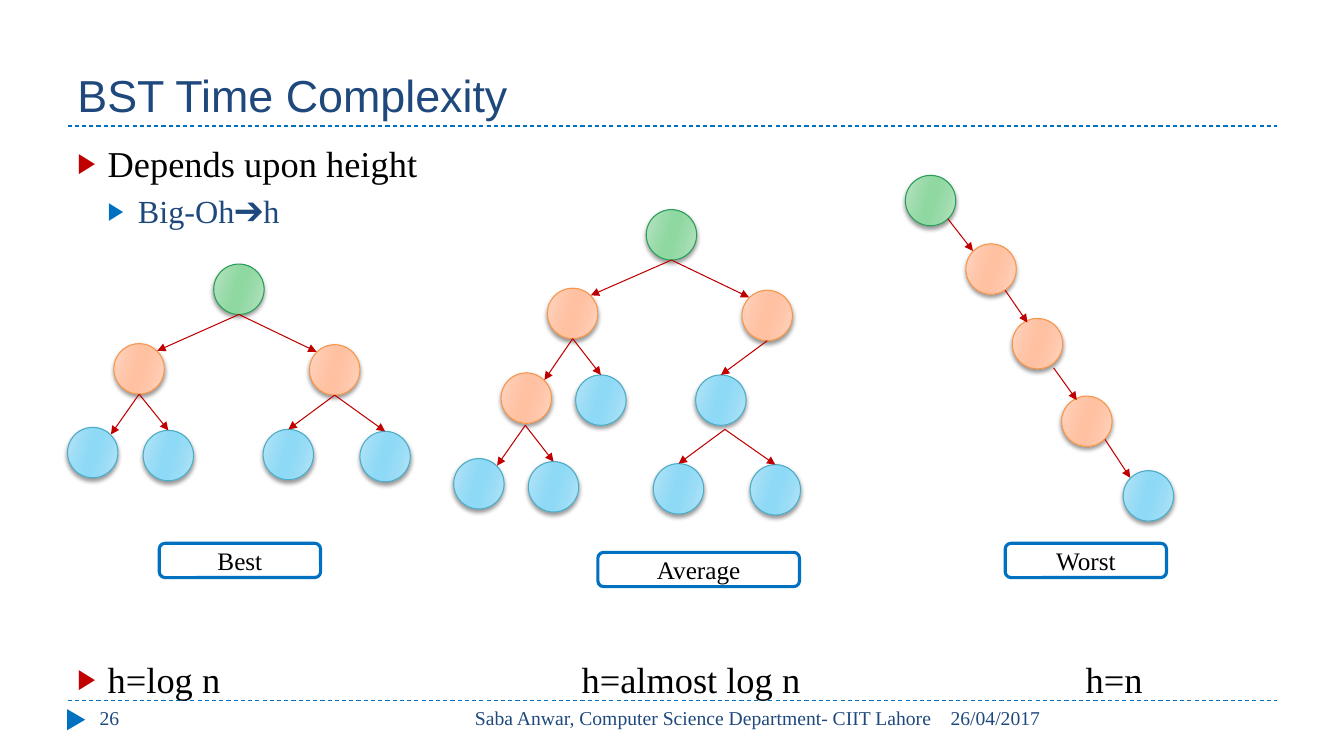
from dataclasses import dataclass

from pptx import Presentation
from pptx.dml.color import RGBColor
from pptx.enum.dml import MSO_LINE
from pptx.enum.shapes import MSO_CONNECTOR, MSO_SHAPE
from pptx.enum.text import MSO_ANCHOR as ANCHOR, PP_ALIGN as ALIGN
from pptx.oxml import parse_xml
from pptx.oxml.ns import nsdecls, qn
from pptx.util import Inches, Pt


@dataclass(frozen=True)
class Theme:
    heading: str = "Arial"
    serif: str = "Times New Roman"
    navy: str = "1F497D"
    blue: str = "0070C0"
    red: str = "C00000"
    black: str = "000000"
    white: str = "FFFFFF"
    # Node colours: outline, then gradient from rim to core
    root: tuple = ("279D57", "BBE4C5", "9BDBAB", "8FD8A1")
    inner: tuple = ("F79646", "FFD7C5", "FFC6AA", "FFC1A1")
    leaf: tuple = ("4BACC6", "B9E5F7", "99DCF6", "8DD9F6")
    title_pt: int = 32
    body_pt: int = 26
    sub_pt: int = 23
    label_pt: int = 18
    footer_pt: int = 14


T = Theme()

prs = Presentation()
prs.slide_width, prs.slide_height = Inches(13.33), Inches(7.5)
s = prs.slides.add_slide(prs.slide_layouts[6])


def write(tf, text, p=None, size=T.body_pt, color=T.black, font=T.serif,
          align=ALIGN.LEFT, anchor=ANCHOR.TOP, bullet=None, level=0):
    """Fill one paragraph; bullet is the colour of its triangle mark."""
    tf.word_wrap = True
    tf.vertical_anchor = anchor
    p = p or tf.paragraphs[0]
    p.alignment = align
    if bullet:
        p.level = level
        pPr = p._p.get_or_add_pPr()
        pPr.set("marL", str(Inches(0.3 * (level + 1))))
        pPr.set("indent", str(Inches(-0.3)))
        for xml in (f'<a:buClr {nsdecls("a")}><a:srgbClr val="{bullet}"/></a:buClr>',
                    f'<a:buSzPct {nsdecls("a")} val="76000"/>',
                    f'<a:buFont {nsdecls("a")} typeface="{T.serif}"/>',
                    f'<a:buChar {nsdecls("a")} char="▶"/>'):
            pPr.append(parse_xml(xml))
    r = p.add_run()
    r.text = text
    for name, value in {"name": font, "size": Pt(size)}.items():
        setattr(r.font, name, value)
    r.font.color.rgb = RGBColor.from_string(color)


def draw_line(start, end, color):
    c = s.shapes.add_connector(MSO_CONNECTOR.STRAIGHT, *map(Inches, start + end))
    c.line.color.rgb = RGBColor.from_string(color)
    c.line.width = Pt(0.75)
    c._element.spPr.append(parse_xml(f'<a:effectLst {nsdecls("a")}/>'))
    return c


# Frame: dashed rules and page marker
for y in (6.95, 1.25):
    draw_line((0.67, y), (12.67, y), T.blue).line.dash_style = MSO_LINE.DASH

marker = s.shapes.add_shape(MSO_SHAPE.ISOSCELES_TRIANGLE,
                            *map(Inches, (0.65, 7.05, 0.21, 0.18)))
marker.rotation = 90
marker.shadow.inherit = False
marker.fill.solid()
marker.fill.fore_color.rgb = RGBColor.from_string(T.blue)
marker.line.fill.background()

# Title, footer and body text
footer = {"size": T.footer_pt, "color": T.navy}
point = {"bullet": T.red}
texts = [
    ((0.67, 0.17, 12, 1.08), "BST Time Complexity",
     {"size": T.title_pt, "color": T.navy, "font": T.heading, "anchor": ANCHOR.BOTTOM}),
    ((9.33, 6.95, 3.34, 0.4), "26/04/2017", footer),
    ((4.23, 6.95, 5.11, 0.4), "Saba Anwar, Computer Science Department- CIIT Lahore",
     {**footer, "align": ALIGN.RIGHT}),
    ((0.89, 6.95, 2.89, 0.4), "26", footer),
    ((0.67, 6.47, 4, 0.46), "h=log n", point),
    ((5.67, 6.47, 4, 0.46), "h=almost log n", {}),
    ((10.67, 6.47, 2, 0.46), "h=n", {}),
    ((0.67, 1.35, 6, 1.1), "Depends upon height", point),
]
for box, text, style in texts:
    tf = s.shapes.add_textbox(*map(Inches, box)).text_frame
    write(tf, text, **style)

# The last box holds the body, which has a second level
p = tf.add_paragraph()
p.space_before = Pt(5)
write(tf, "Big-Oh➔h", p, size=T.sub_pt, color=T.navy, bullet=T.blue, level=1)

# Trees: node colours, position, start of the incoming arrow, where it lands
NODE = 0.5
LANDING = {"top": (0.25, 0), "left": (0.07, 0.07), "right": (0.43, 0.07),
           "upper": (0.15, 0.04)}
best = [
    (T.root, 2.12, 2.62, None, None),
    (T.inner, 1.13, 3.41, (2.37, 3.12), "right"),
    (T.inner, 3.07, 3.42, (2.37, 3.12), "left"),
    (T.leaf, 0.67, 4.24, (1.38, 3.91), "right"),
    (T.leaf, 1.42, 4.27, (1.38, 3.91), "top"),
    (T.leaf, 2.61, 4.26, (3.32, 3.92), "top"),
    (T.leaf, 3.57, 4.28, (3.32, 3.92), "top"),
]
average = [
    (T.root, 6.41, 2.08, None, None),
    (T.inner, 5.43, 2.86, (6.66, 2.58), "right"),
    (T.inner, 7.36, 2.88, (6.66, 2.58), "left"),
    (T.inner, 4.97, 3.7, (5.68, 3.36), "right"),
    (T.leaf, 5.71, 3.72, (5.68, 3.36), "top"),
    (T.leaf, 6.9, 3.72, (7.61, 3.38), "top"),
    (T.leaf, 4.5, 4.55, (5.21, 4.22), "right"),
    (T.leaf, 5.24, 4.58, (5.21, 4.22), "top"),
    (T.leaf, 6.48, 4.6, (7.19, 4.26), "top"),
    (T.leaf, 7.44, 4.61, (7.19, 4.26), "top"),
]
worst = [
    (T.root, 8.98, 1.74, None, None),
    (T.inner, 9.58, 2.42, (9.4, 2.17), "left"),
    (T.inner, 10.04, 3.16, (9.97, 2.88), "upper"),
    (T.inner, 10.53, 3.93, (10.45, 3.65), "upper"),
    (T.leaf, 11.14, 4.67, (10.96, 4.36), "left"),
]
for (outline, rim, mid, core), x, y, start, landing in best + average + worst:
    sp = s.shapes.add_shape(MSO_SHAPE.OVAL, *map(Inches, (x, y, NODE, NODE)))
    stops = zip((0, 30, 45, 55, 73, 100), (rim, mid, core, core, mid, rim))
    gradient = "".join(f'<a:gs pos="{pos * 1000}"><a:srgbClr val="{color}"/></a:gs>'
                       for pos, color in stops)
    spPr = sp._element.spPr
    spPr.find(qn("a:prstGeom")).addnext(parse_xml(
        f'<a:gradFill {nsdecls("a")} rotWithShape="1"><a:gsLst>{gradient}</a:gsLst>'
        f'<a:lin ang="{16 * 60000}" scaled="0"/></a:gradFill>'))
    sp.line.color.rgb = RGBColor.from_string(outline)
    sp.line.width = Pt(0.75)
    sp.shadow.inherit = False
    spPr.find(qn("a:effectLst")).append(parse_xml(
        f'<a:outerShdw {nsdecls("a")} blurRad="{Pt(3)}" dist="{Pt(2)}" dir="5400000" '
        f'rotWithShape="0"><a:srgbClr val="{T.black}"><a:alpha val="40000"/>'
        '</a:srgbClr></a:outerShdw>'))
    if start:
        dx, dy = LANDING[landing]
        arrow = draw_line(start, (x + dx, y + dy), T.red)
        arrow.line._get_or_add_ln().append(
            parse_xml(f'<a:tailEnd {nsdecls("a")} type="triangle"/>'))

# Case labels
for label, x, y, width in (("Average", 5.93, 5.48, 2), ("Best", 1.58, 5.39, 1.6),
                           ("Worst", 9.97, 5.39, 1.6)):
    sp = s.shapes.add_shape(MSO_SHAPE.ROUNDED_RECTANGLE,
                            *map(Inches, (x, y, width, 0.34)))
    sp.shadow.inherit = False
    sp.fill.solid()
    sp.fill.fore_color.rgb = RGBColor.from_string(T.white)
    sp.line.color.rgb = RGBColor.from_string(T.blue)
    sp.line.width = Pt(2.25)
    write(sp.text_frame, label, size=T.label_pt, align=ALIGN.CENTER, anchor=ANCHOR.MIDDLE)

prs.save("out.pptx")
